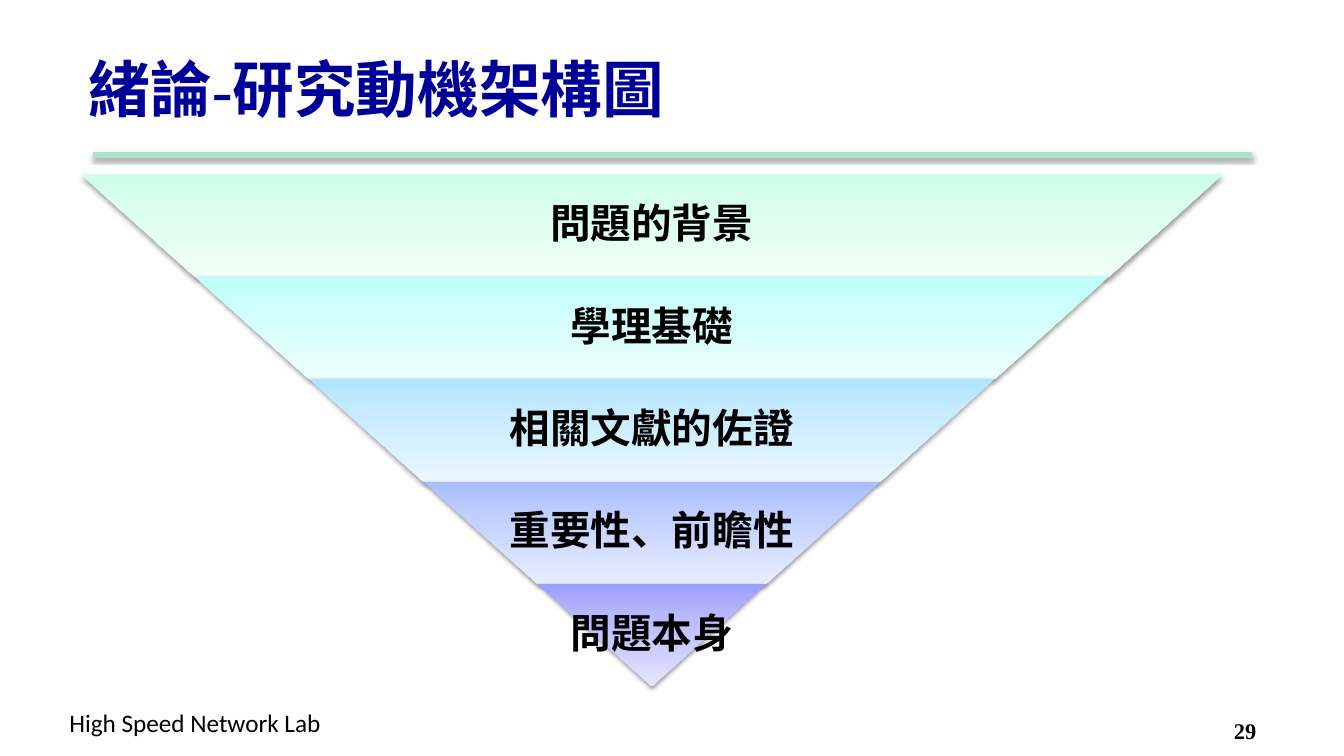
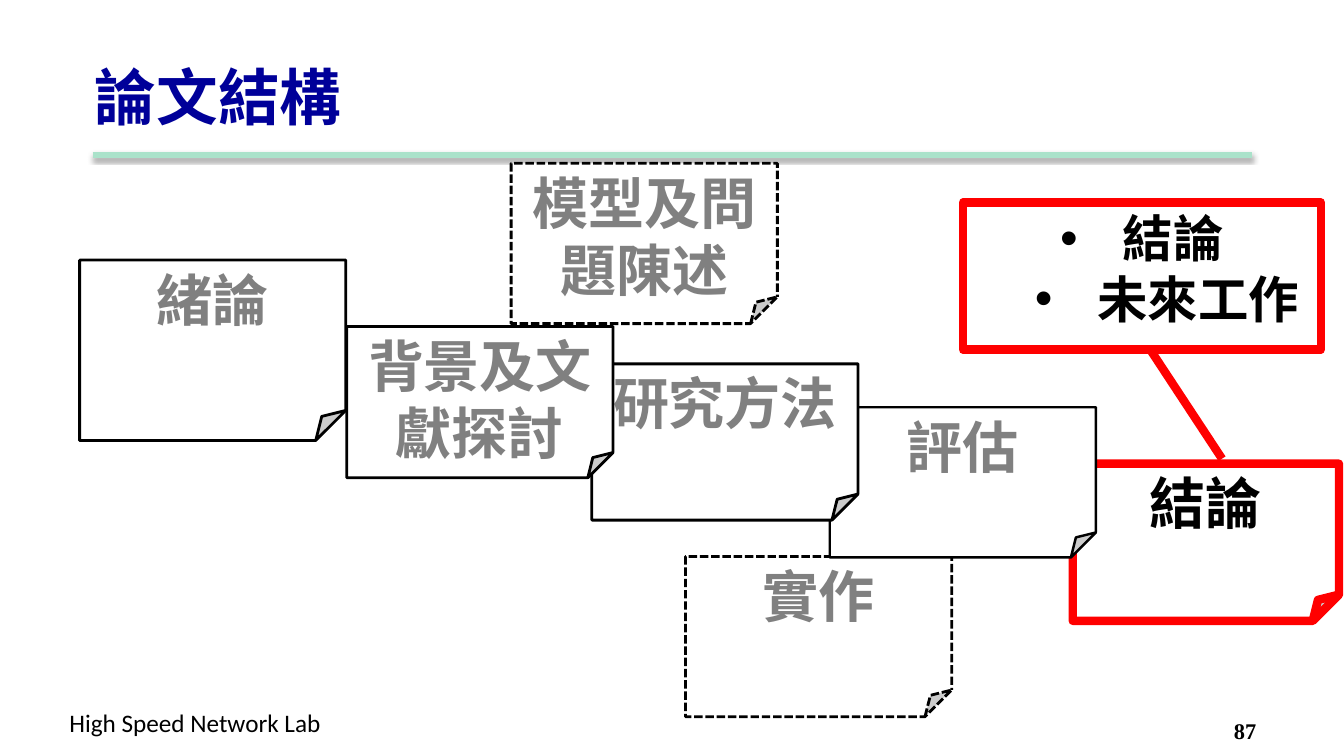
from pptx import Presentation
from pptx.dml.color import RGBColor
from pptx.enum.dml import MSO_LINE
from pptx.enum.shapes import MSO_CONNECTOR, MSO_SHAPE
from pptx.enum.text import MSO_ANCHOR, MSO_AUTO_SIZE, PP_ALIGN
from pptx.oxml import parse_xml
from pptx.oxml.ns import nsdecls, qn
from pptx.util import Inches, Pt

BLACK = RGBColor(0x00, 0x00, 0x00)
WHITE = RGBColor(0xFF, 0xFF, 0xFF)
GRAY = RGBColor(0x80, 0x80, 0x80)
RED = RGBColor(0xFF, 0x00, 0x00)
NAVY = RGBColor(0x00, 0x00, 0x99)
MINT = RGBColor(0xAA, 0xE2, 0xCA)
SHADOW = (
    f'<a:effectLst {nsdecls("a")}><a:outerShdw blurRad="40000" dist="20000" dir="5400000" '
    'rotWithShape="0"><a:srgbClr val="000000"><a:alpha val="38000"/></a:srgbClr>'
    '</a:outerShdw></a:effectLst>'
)


def write_text(frame, *lines, size, font, color=BLACK, bold=True, align=PP_ALIGN.LEFT,
               anchor=MSO_ANCHOR.TOP, spacing=None, bullet_indents=None):
    frame.word_wrap = True
    frame.auto_size = MSO_AUTO_SIZE.NONE
    frame.vertical_anchor = anchor
    for index, line in enumerate(lines):
        para = frame.paragraphs[0] if index == 0 else frame.add_paragraph()
        para.alignment = align
        if spacing:
            para.line_spacing = spacing
        if bullet_indents:
            properties = para._p.get_or_add_pPr()
            properties.set("marL", str(Inches(bullet_indents[index])))
            properties.set("indent", str(Inches(-0.62)))
            properties.append(parse_xml(f'<a:buFont {nsdecls("a")} typeface="Arial"/>'))
            properties.append(parse_xml(f'<a:buChar {nsdecls("a")} char="•"/>'))
        span = para.add_run()
        span.text = line
        span.font.size = Pt(size)
        span.font.name = font
        span.font.bold = bold
        span.font.color.rgb = color


def add_outlined_box(page, kind, left, top, width, height, color, weight):
    box = page.shapes.add_shape(kind, Inches(left), Inches(top), Inches(width), Inches(height))
    box.shadow.inherit = False
    box.fill.solid()
    box.fill.fore_color.rgb = WHITE
    box.line.color.rgb = color
    box.line.width = Pt(weight)
    return box


deck = Presentation()
deck.slide_width = Inches(13.33)
deck.slide_height = Inches(7.5)
layout = deck.slide_layouts[5]
for holder in list(layout.placeholders)[1:]:
    layout.shapes.element.remove(holder.element)

pages = []
for title, number, left, top in [("緒論-研究動機架構圖", "29", 0.78, 0.25),
                                 ("論文結構", "87", 0.84, 0.33)]:
    page = deck.slides.add_slide(layout)
    pages.append(page)
    heading = page.shapes.title
    heading.left, heading.top = Inches(left), Inches(top)
    heading.width, heading.height = Inches(11.33), Inches(1.25)
    write_text(heading.text_frame, title, size=44, font="Times New Roman", color=NAVY,
               anchor=MSO_ANCHOR.MIDDLE)
    number_box = page.shapes.add_textbox(Inches(12.14), Inches(7.07), Inches(0.99), Inches(0.3))
    write_text(number_box.text_frame, number, size=16, font="Times New Roman")

funnel_page, structure_page = pages

rule = funnel_page.shapes.add_connector(
    MSO_CONNECTOR.STRAIGHT, Inches(0.92), Inches(1.54), Inches(12.42), Inches(1.54))
rule.line.color.rgb = MINT
rule.line.width = Pt(4.5)
rule.element.spPr.append(parse_xml(SHADOW))
footer = funnel_page.shapes.add_textbox(Inches(0.59), Inches(6.97), Inches(2.79), Inches(0.4))
write_text(footer.text_frame, "High Speed Network Lab", size=18, font="Calibri", bold=False)
for shared in (rule, footer):
    layout.shapes.element.append(shared.element)

FUNNEL_LEFT, FUNNEL_TOP, FUNNEL_WIDTH, FUNNEL_HEIGHT = 0.8, 1.73, 11.33, 5.08
bands = [
    ("問題的背景", ("CCFFE8", "DAFFEE", "F1FFF8")),
    ("學理基礎", ("BDFFF9", "D0FFFB", "EDFFFD")),
    ("相關文獻的佐證", ("B2E4FF", "C8EBFF", "EAF7FF")),
    ("重要性、前瞻性", ("A9BDFF", "C2D0FF", "E8EDFF")),
    ("問題本身", ("9F9FFF", "BBBBFF", "E5E5FF")),
]
band_height = FUNNEL_HEIGHT / len(bands)
inset = FUNNEL_WIDTH / len(bands) / 2
for index, (label, stops) in enumerate(bands):
    area = [Inches(value) for value in (FUNNEL_LEFT + inset * index,
                                        FUNNEL_TOP + band_height * index,
                                        FUNNEL_WIDTH - 2 * inset * index, band_height)]
    band = funnel_page.shapes.add_shape(MSO_SHAPE.TRAPEZOID, *area)
    band.rotation = 180
    band.adjustments[0] = inset / band_height
    band.fill.gradient()
    band.fill.gradient_angle = 90
    stop_list = band.element.spPr.find(".//" + qn("a:gsLst"))
    for old_stop in list(stop_list):
        stop_list.remove(old_stop)
    for position, color in zip((0, 35, 100), stops):
        stop_list.append(parse_xml(
            f'<a:gs {nsdecls("a")} pos="{position * 1000}"><a:srgbClr val="{color}"/></a:gs>'))
    band.line.fill.background()
    band.element.spPr.append(parse_xml(SHADOW))
    label_box = funnel_page.shapes.add_textbox(*area)
    write_text(label_box.text_frame, label, size=29, font="Calibri", align=PP_ALIGN.CENTER,
               anchor=MSO_ANCHOR.MIDDLE, spacing=0.9)

chapters = [
    ("實作", 6.8, 5.52, 1.59, GRAY, BLACK, 2, True),
    ("模型及問題陳述", 5.07, 1.62, 1.59, GRAY, BLACK, 2, True),
    ("結論", 10.64, 4.6, 1.56, BLACK, RED, 6, False),
    ("評估", 8.23, 4.04, 1.49, GRAY, BLACK, 1.75, False),
    ("研究方法", 5.87, 3.61, 1.55, GRAY, BLACK, 2, False),
    ("背景及文獻探討", 3.44, 3.24, 1.5, GRAY, BLACK, 2, False),
    ("緒論", 0.79, 2.58, 1.79, GRAY, BLACK, 2, False),
]
for name, left, top, height, text_color, line_color, weight, dashed in chapters:
    chapter = add_outlined_box(structure_page, MSO_SHAPE.FOLDED_CORNER, left, top, 2.64, height,
                               line_color, weight)
    if dashed:
        chapter.line.dash_style = MSO_LINE.SQUARE_DOT
    write_text(chapter.text_frame, name, size=40, font="Arial", color=text_color,
               align=PP_ALIGN.CENTER)

callout = add_outlined_box(structure_page, MSO_SHAPE.LINE_CALLOUT_1, 9.55, 2.01, 3.55, 1.46, RED, 6)
for index, value in enumerate((1.005, 0.525, 1.741, 0.724)):
    callout.adjustments[index] = value
write_text(callout.text_frame, "結論", "未來工作", size=36, font="Arial", align=PP_ALIGN.CENTER,
           bullet_indents=(0.62, 1.12))

deck.save("out.pptx")
